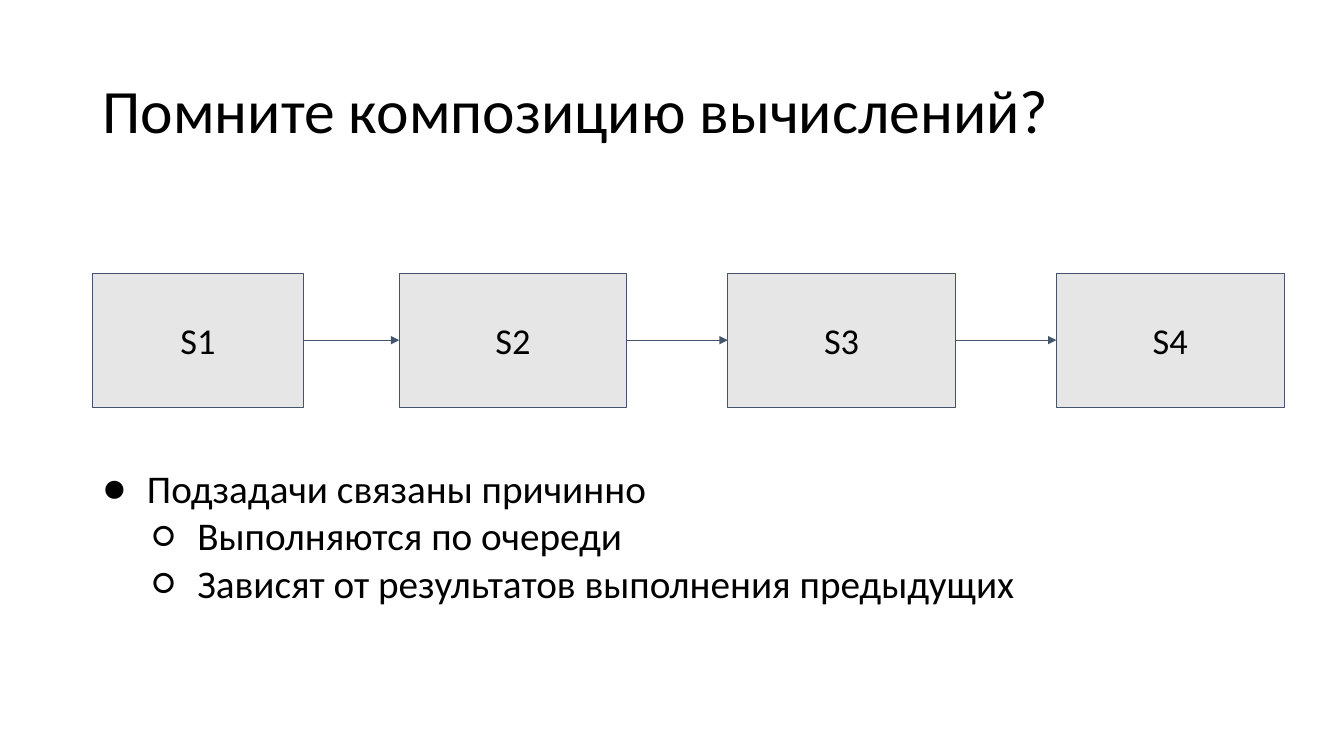
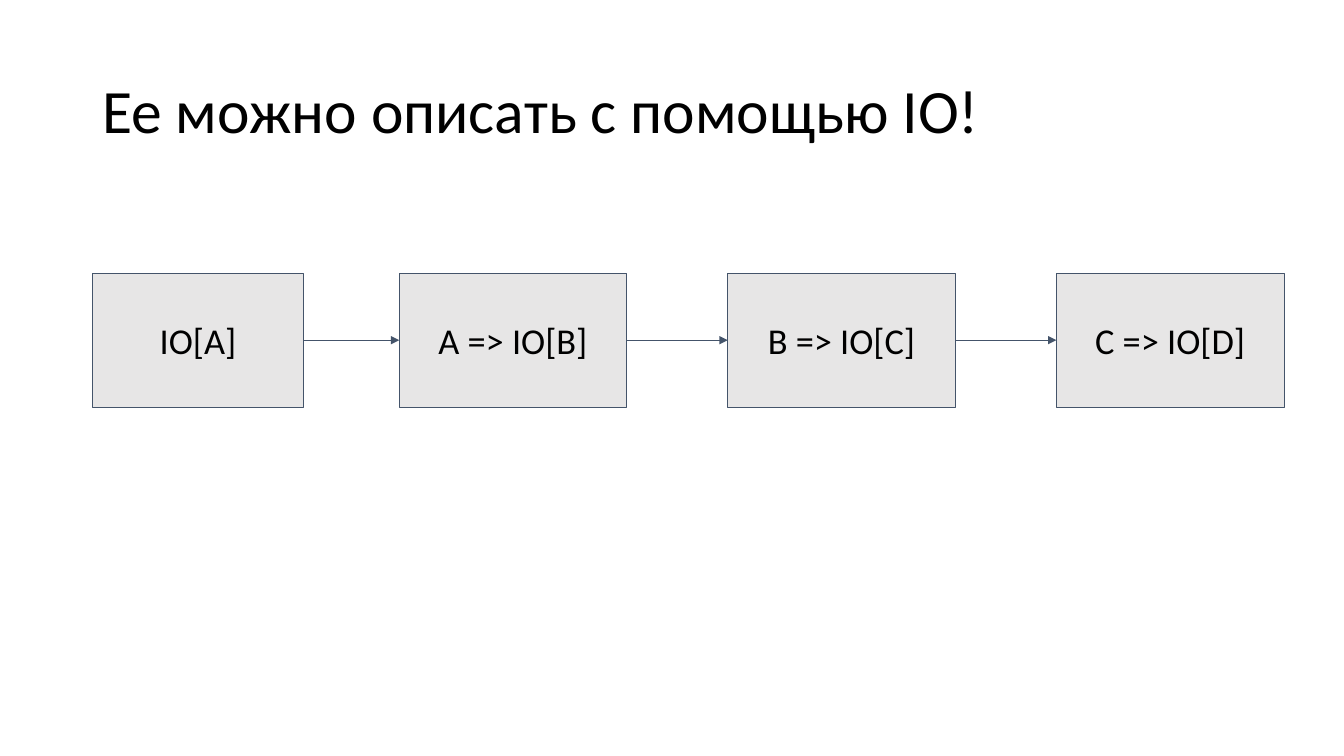
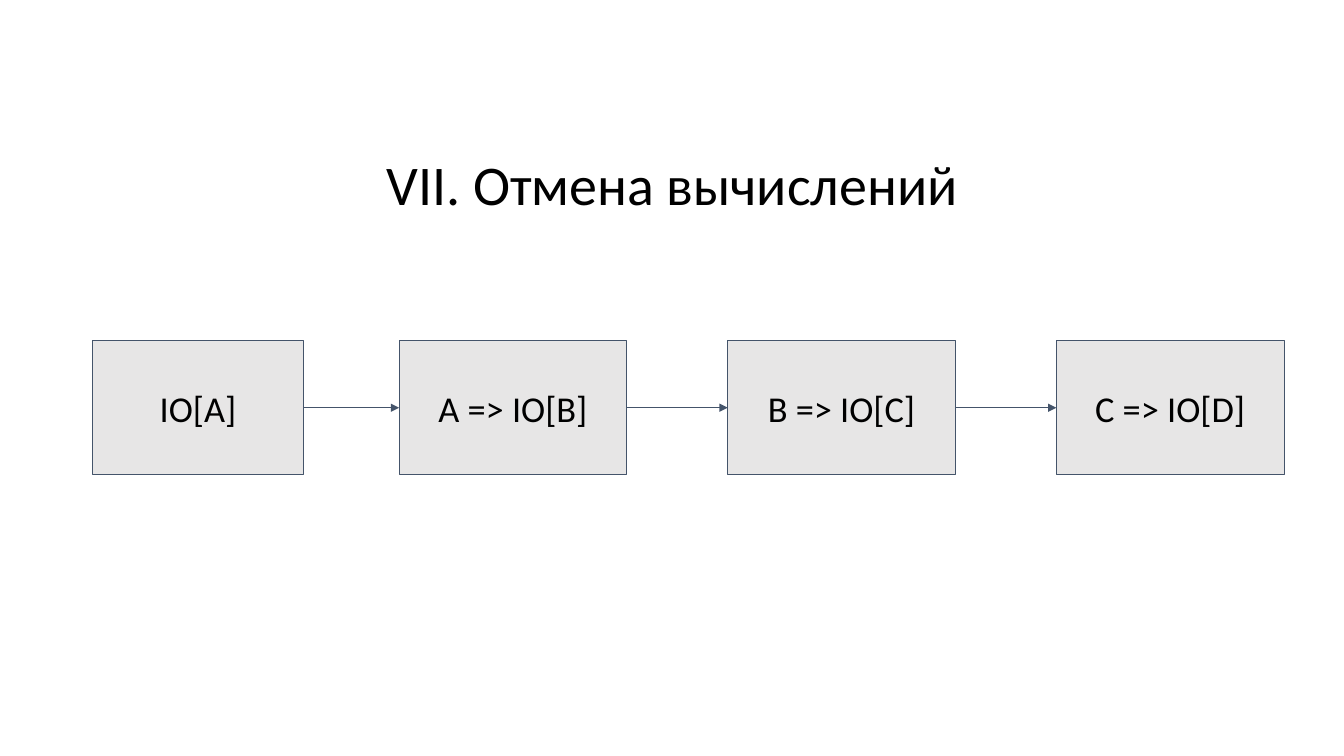
import pptx
import pptx.util
import pptx.dml.color
import pptx.enum.shapes
import pptx.enum.text
import pptx.oxml.ns
import lxml.etree

Pt = pptx.util.Pt
qn = pptx.oxml.ns.qn
RGBColor = pptx.dml.color.RGBColor
ALIGN = pptx.enum.text.PP_ALIGN
ANCHOR = pptx.enum.text.MSO_ANCHOR

FONT = "Calibri"
BLACK = RGBColor(0x00, 0x00, 0x00)
STEP_GREY = RGBColor(0xE7, 0xE6, 0xE6)
SLATE = RGBColor(0x44, 0x54, 0x6A)

SLIDE_WIDTH, SLIDE_HEIGHT = 960, 540
MARGIN = 66.24
TITLE_WIDTH, TITLE_HEIGHT = 828, 104.4
CHAIN_WIDTH, CHAIN_HEIGHT = 851.04, 95.76
CHAIN_TOP = 195.12
STEP_WIDTH, STEP_GAP = 162.72, 72
BULLET_SIGNS = ("●", "○")
LEVEL_INDENT, BULLET_HANG = 36, 31.68

IO_STEPS = ("IO[A]", "A => IO[B]", "B => IO[C]", "C => IO[D]")


def add_run(paragraph, text, size):
    run = paragraph.add_run()
    run.text = text
    run.font.name = FONT
    run.font.size = Pt(size)
    run.font.color.rgb = BLACK


def prepare_frame(frame, anchor, inset_y):
    frame.word_wrap = True
    frame.vertical_anchor = anchor
    frame.margin_left = frame.margin_right = Pt(7.2)
    frame.margin_top = frame.margin_bottom = Pt(inset_y)


def add_title(slide, text, box, size=44, align=ALIGN.LEFT):
    title = slide.shapes.add_textbox(*map(Pt, box))
    prepare_frame(title.text_frame, ANCHOR.MIDDLE, 3.6)
    line = title.text_frame.paragraphs[0]
    line.alignment = align
    line.line_spacing = 0.9
    add_run(line, text, size)


def add_step(slide, text, box):
    step = slide.shapes.add_shape(pptx.enum.shapes.MSO_SHAPE.RECTANGLE, *map(Pt, box))
    step.shadow.inherit = False
    step.fill.solid()
    step.fill.fore_color.rgb = STEP_GREY
    step.line.color.rgb = SLATE
    step.line.width = Pt(0.75)
    prepare_frame(step.text_frame, ANCHOR.MIDDLE, 7.2)
    label = step.text_frame.paragraphs[0]
    label.alignment = ALIGN.CENTER
    add_run(label, text, 26)
    return step


def add_arrow(slide, source, target):
    arrow = slide.shapes.add_connector(
        pptx.enum.shapes.MSO_CONNECTOR.STRAIGHT, Pt(0), Pt(0), Pt(0), Pt(0))
    arrow.begin_connect(source, 3)
    arrow.end_connect(target, 1)
    arrow.line.color.rgb = SLATE
    arrow.line.width = Pt(0.75)
    lxml.etree.SubElement(arrow.line._get_or_add_ln(), qn("a:tailEnd"), type="triangle")
    lxml.etree.SubElement(arrow._element.spPr, qn("a:effectLst"))


def add_chain(slide, labels, box):
    left, top, width, height = box
    pitch = STEP_WIDTH + STEP_GAP
    first_width = width - (len(labels) - 1) * pitch + 3.6
    first_width = min(first_width, 150.48)
    steps = [add_step(slide, labels[0], (left, top, first_width, height))]
    for remaining, label in zip(range(len(labels) - 2, -1, -1), labels[1:]):
        step_left = left + width - STEP_WIDTH - remaining * pitch
        steps.append(add_step(slide, label, (step_left, top, STEP_WIDTH, height)))
    for source, target in zip(steps, steps[1:]):
        add_arrow(slide, source, target)


def set_bullet(paragraph, level):
    paragraph.level = level
    properties = paragraph._p.get_or_add_pPr()
    properties.set("marL", str(Pt(LEVEL_INDENT * (level + 1))))
    properties.set("indent", str(-Pt(BULLET_HANG)))
    colour = lxml.etree.SubElement(properties, qn("a:buClr"))
    lxml.etree.SubElement(colour, qn("a:srgbClr"), val=str(BLACK))
    lxml.etree.SubElement(properties, qn("a:buFont"), typeface=FONT)
    lxml.etree.SubElement(properties, qn("a:buChar"), char=BULLET_SIGNS[level])


def add_bullets(slide, items, box):
    frame = slide.shapes.add_textbox(*map(Pt, box)).text_frame
    prepare_frame(frame, ANCHOR.TOP, 7.2)
    for index, (level, text) in enumerate(items):
        item = frame.add_paragraph() if index else frame.paragraphs[0]
        set_bullet(item, level)
        add_run(item, text, 28)


def add_chain_slide(deck, title, labels, shift=0, **title_style):
    slide = deck.slides.add_slide(deck.slide_layouts[6])
    title_top = 81.36 if shift else 28.8
    add_title(slide, title, (MARGIN, title_top, TITLE_WIDTH, TITLE_HEIGHT), **title_style)
    add_chain(slide, labels, (MARGIN, CHAIN_TOP + shift, CHAIN_WIDTH, CHAIN_HEIGHT))
    return slide


def main():
    deck = pptx.Presentation()
    deck.slide_width, deck.slide_height = Pt(SLIDE_WIDTH), Pt(SLIDE_HEIGHT)

    composition = add_chain_slide(
        deck, "Помните композицию вычислений?", ("S1", "S2", "S3", "S4"))
    add_bullets(composition, (
        (0, "Подзадачи связаны причинно"),
        (1, "Выполняются по очереди"),
        (1, "Зависят от результатов выполнения предыдущих"),
    ), (61.92, 324.72, 787.68, 150.48))

    add_chain_slide(deck, "Ее можно описать с помощью IO!", IO_STEPS)
    add_chain_slide(deck, "VII. Отмена вычислений", IO_STEPS, shift=48.24,
                    size=40, align=ALIGN.CENTER)

    deck.save("out.pptx")


if __name__ == "__main__":
    main()
